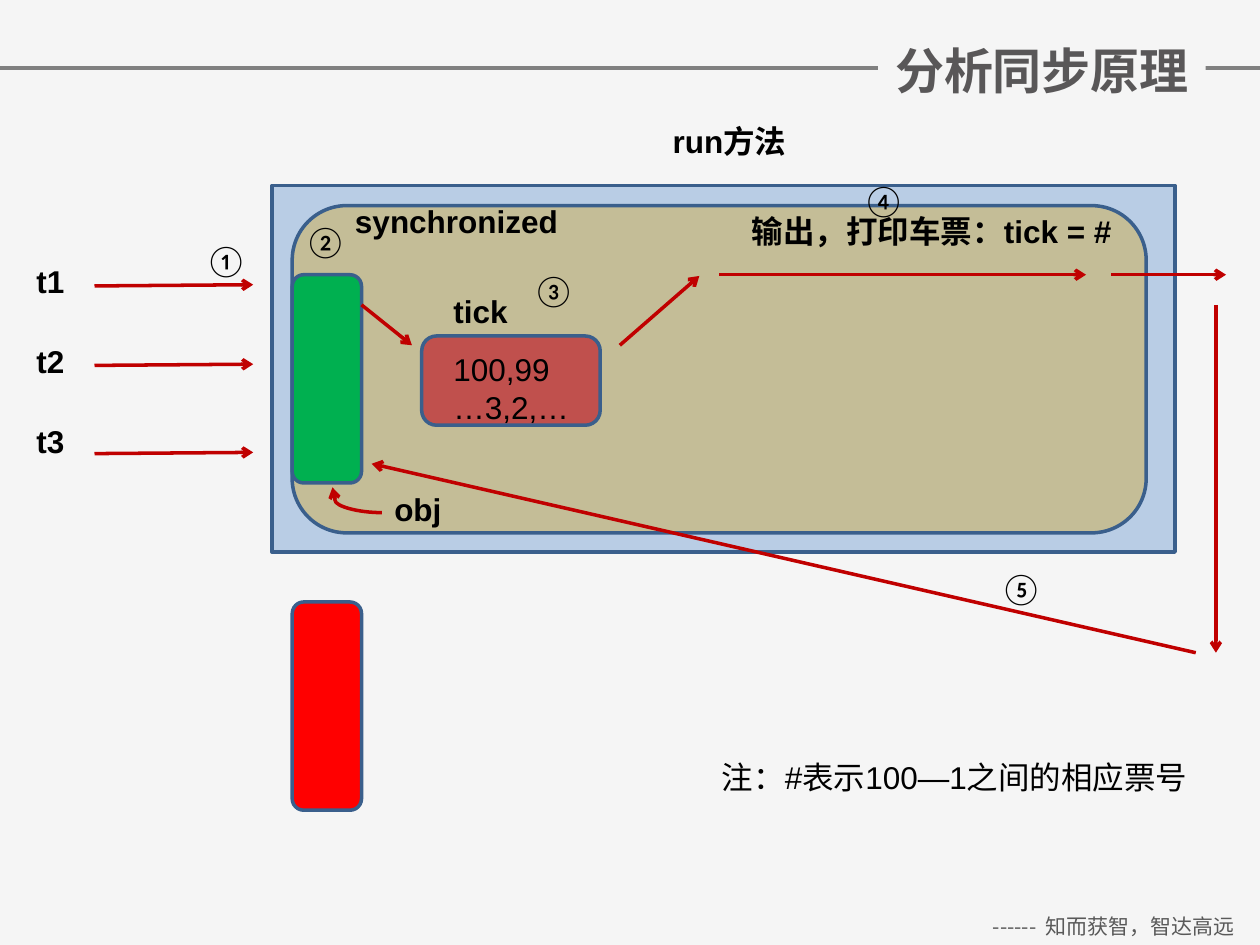
from lxml import etree
from pptx import Presentation
from pptx.dml.color import RGBColor
from pptx.enum import shapes, text
from pptx.oxml import ns
from pptx.util import Pt

COLORS = {"page": "F5F5F5", "rule": "808080", "title": "595758", "footer": "595959",
          "text": "000000", "outline": "3A5F8C", "arrow": "C00000", "method": "B9CDE5",
          "sync": "C4BD97", "lock": "00B050", "ticket": "C0504D", "locked": "FF0000"}
CJK = "Noto Sans CJK SC"
LABEL = {"size": Pt(18), "name": "Arial", "bold": True}
PLAIN = {"size": Pt(18), "name": "Arial"}
STEP = {"size": Pt(18), "name": "Calibri"}
TITLE = {"size": Pt(28), "name": CJK, "bold": True}
FOOTER = {"size": Pt(12), "name": CJK}
BOX_H = 29

# color, rounded, (left, top, width, height)
BOXES = [
    ("method", False, (155.5, 106, 516, 209.5)),
    ("sync", True, (167, 117.5, 488, 187)),
    ("lock", True, (167, 157, 39.6, 119)),
    ("ticket", True, (241, 192, 102, 51)),
    ("locked", True, (167, 344, 39.6, 119)),
]
# thread, label top, arrow start height
THREADS = [("t1", 146.2, 163.4), ("t2", 192, 208.8), ("t3", 237.6, 259.2)]
# x1, y1, x2, y2
ARROWS = [
    (411, 157, 620.6, 157),
    (206.6, 174.2, 235.4, 197.3),
    (354.2, 197.3, 399.6, 157.7),
    (635, 157, 700.6, 157),
    (694.8, 174.2, 694.8, 373),
    (683.3, 373, 212.4, 265),
]
LOCK_POINTER = (218.2, 293, 190, 278.6)
# text, left, top, width
LABELS = [
    ("run方法", 377.3, 66.2, 96.5),
    ("tick", 252, 163.4, 102),
    ("输出，打印车票：tick = #", 422.6, 117.4, 226.8),
    ("synchronized", 195.8, 111.6, 136),
    ("obj", 218.2, 276.5, 51),
]
NOTES = [
    ("100,99…3,2,…", 252, 196.6, 85, 51),
    ("注：#表示100—1之间的相应票号", 405.4, 429.8, 289.4, BOX_H),
]
STEPS = [("①", 110.2, 133.9), ("②", 167, 123.1), ("③", 297.4, 151.2),
         ("④", 486, 100), ("⑤", 564.5, 321.8)]


def rgb(key):
    return RGBColor.from_string(COLORS[key])


def add_box(s, color, rounded, frame):
    kind = shapes.MSO_SHAPE.ROUNDED_RECTANGLE if rounded else shapes.MSO_SHAPE.RECTANGLE
    sp = s.shapes.add_shape(kind, *map(Pt, frame))
    sp.shadow.inherit = False
    sp.fill.solid()
    sp.fill.fore_color.rgb = rgb(color)
    sp.line.color.rgb = rgb("outline")
    sp.line.width = Pt(2)


def add_line(s, ends, color="arrow", head=True, kind=shapes.MSO_CONNECTOR.STRAIGHT):
    cx = s.shapes.add_connector(kind, *map(Pt, ends))
    cx.line.color.rgb = rgb(color)
    cx.line.width = Pt(2)
    if head:
        etree.SubElement(cx.line._get_or_add_ln(), ns.qn("a:tailEnd"), type="arrow")
    etree.SubElement(cx._element.spPr, ns.qn("a:effectLst"))
    return cx


def add_text(s, words, frame, fmt, color="text", wrap=True, center=False):
    sp = s.shapes.add_textbox(*map(Pt, frame))
    tf = sp.text_frame
    tf.word_wrap = wrap
    tf.auto_size = text.MSO_AUTO_SIZE.SHAPE_TO_FIT_TEXT
    p = tf.paragraphs[0]
    if center:
        p.alignment = text.PP_ALIGN.CENTER
    r = p.add_run()
    r.text = words
    for key, value in fmt.items():
        setattr(r.font, key, value)
    r.font.color.rgb = rgb(color)
    if fmt["name"] == CJK:
        latin = r.font._element.find(ns.qn("a:latin"))
        ea = etree.Element(ns.qn("a:ea"), typeface=CJK)
        latin.addnext(ea)
    return sp


def main():
    prs = Presentation()
    prs.slide_width, prs.slide_height = Pt(720), Pt(540)
    s = prs.slides.add_slide(prs.slide_layouts[6])
    s.background.fill.solid()
    s.background.fill.fore_color.rgb = rgb("page")

    add_line(s, (0, 38.9, 720, 38.9), "rule", head=False)
    add_text(s, "------  知而获智，智达高远", (553, 518.4, 167, 21.6), FOOTER, "footer", center=True)
    for box in BOXES:
        add_box(s, *box)

    for name, top, y in THREADS:
        add_text(s, name, (13.7, top, 73.4, BOX_H), LABEL)
        add_line(s, (54, y, 144.7, y - 0.7))
    for ends in ARROWS:
        add_line(s, ends)
    curve = add_line(s, LOCK_POINTER, kind=shapes.MSO_CONNECTOR.CURVE)
    guides = curve._element.spPr.find(ns.qn("a:prstGeom")).find(ns.qn("a:avLst"))
    etree.SubElement(guides, ns.qn("a:gd"), name="adj1", fmla="val 95000")

    for words, left, top, width in LABELS:
        add_text(s, words, (left, top, width, BOX_H), LABEL)
    for words, *frame in NOTES:
        add_text(s, words, frame, PLAIN)
    for mark, left, top in STEPS:
        add_text(s, mark, (left, top, 32.4, BOX_H), STEP, wrap=False)

    title = add_text(s, "分析同步原理", (501.8, 17.3, 187.2, 45.4), TITLE, "title", center=True)
    title.fill.solid()
    title.fill.fore_color.rgb = rgb("page")
    title.text_frame.auto_size = text.MSO_AUTO_SIZE.NONE
    title.text_frame.vertical_anchor = text.MSO_ANCHOR.MIDDLE
    prs.save("out.pptx")


if __name__ == "__main__":
    main()
